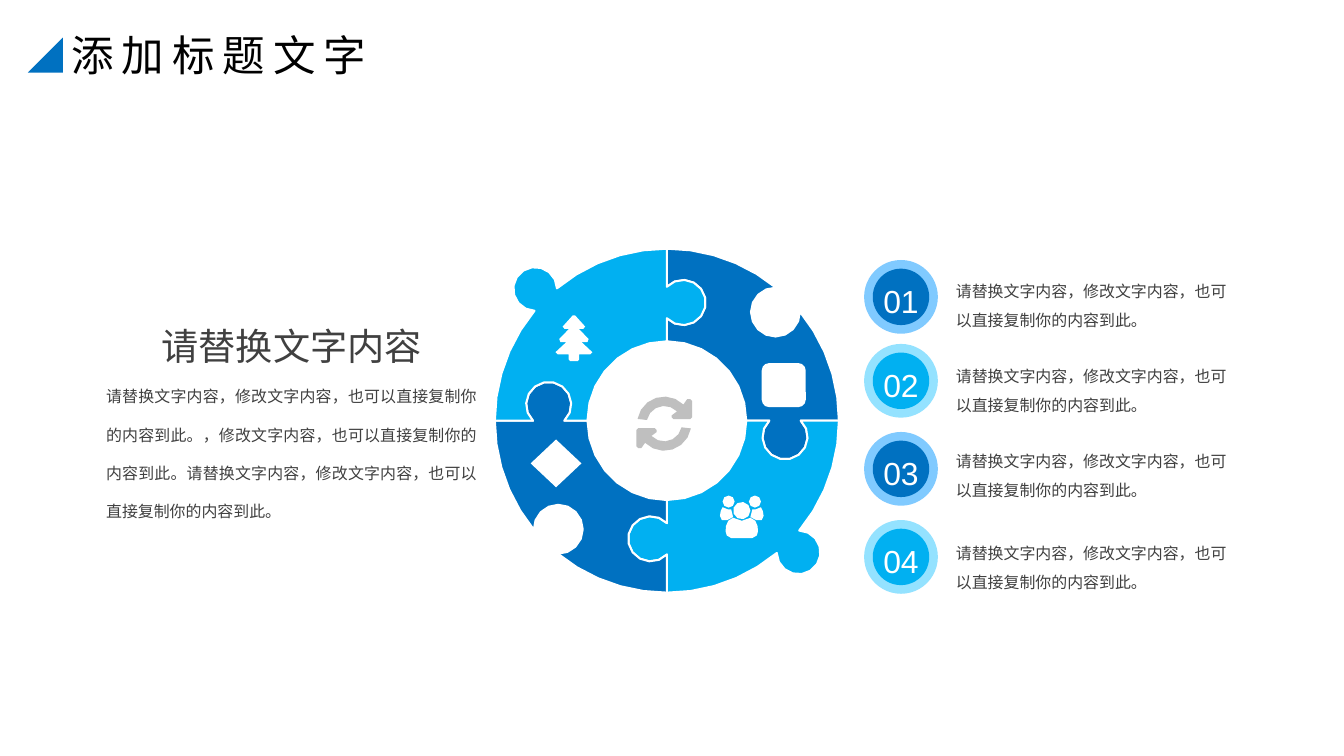
from math import acos, atan2, ceil, cos, degrees, radians, sin, sqrt

from pptx import Presentation
from pptx.dml.color import RGBColor
from pptx.enum.shapes import MSO_SHAPE
from pptx.enum.text import MSO_ANCHOR, MSO_AUTO_SIZE, PP_ALIGN
from pptx.util import Cm, Pt

NAVY, SKY = "0071C1", "01B0F1"
NAVY_HALO, SKY_HALO = "80CAFF", "94E2FF"
WHITE, BLACK, GREY, DARK = "FFFFFF", "000000", "BFBFBF", "404040"

OUTER, INNER = 4.57, 2.11
RING_CENTRE = (17.72, 11.18)

SENTENCE = "请替换文字内容，修改文字内容，也可以直接复制你的内容到此。"
BODY = SENTENCE + "，修改文字内容，也可以直接复制你的内容到此。" + SENTENCE

TREE_HALF = [(0.03, 0), (0.3, 0.3), (0.25, 0.36), (0.13, 0.36), (0.39, 0.63),
             (0.36, 0.71), (0.2, 0.71), (0.49, 0.98), (0.43, 1.04),
             (0.14, 1.04), (0.14, 1.17), (0.1, 1.22)]
PERSON_HALF = [(0, 0.66), (0.23, 0.58), (0.36, 0.66), (0.42, 0.8),
               (0.43, 0.94), (0.4, 1.05), (0.28, 1.12)]
SIDE_PERSON = [(0.38, 0.64), (0.53, 0.64), (0.58, 0.53), (0.56, 0.4),
               (0.51, 0.3), (0.36, 0.36), (0.28, 0.36), (0.23, 0.56)]
ARROW_HEAD = [(-0.61, 0.65), (-0.69, 0.65), (-0.74, 0.6), (-0.74, 0.17),
              (-0.69, 0.12), (-0.25, 0.12), (-0.2, 0.17), (-0.2, 0.22),
              (-0.36, 0.34)]


def color(value):
    """Turn a hex string into a colour."""
    return RGBColor.from_string(value)


def arc(radius, start, end, x=0, y=0):
    """List just enough points for a smooth arc, with clockwise angles in degrees."""
    steps = ceil(radians(abs(end - start)) / sqrt(0.12 / radius))
    angles = [radians(start + (end - start) * step / steps) for step in range(steps + 1)]
    return [(x + radius * cos(angle), y + radius * sin(angle)) for angle in angles]


def turn(points, angle):
    """Rotate points clockwise about the origin."""
    cosine, sine = cos(radians(angle)), sin(radians(angle))
    return [(x * cosine - y * sine, x * sine + y * cosine) for x, y in points]


def flip(points):
    """Mirror points left to right, in reverse order."""
    return [(-x, y) for x, y in reversed(points)]


def puzzle_piece(start, has_knob):
    """Outline the quarter ring that begins at the start angle."""
    seam = [(INNER, 0)] + arc(0.6, 226, -46, 3.14, 0.43) + [(OUTER, 0)]
    distance, radius = (4.95, 0.58) if has_knob else (4.08, 0.65)
    half = acos((OUTER**2 + distance**2 - radius**2) / (2 * OUTER * distance))
    reach = degrees(atan2(OUTER * sin(half), OUTER * cos(half) - distance))
    gap = degrees(half)
    joint = arc(radius, -reach, reach if has_knob else reach - 360, distance)
    rim = arc(OUTER, -45, -gap)[1:-1] + joint + arc(OUTER, gap, 45)[1:-1]
    hole = arc(INNER, 90, 0)[1:-1]
    return turn(seam + turn(rim, 45) + turn(seam, 90)[::-1] + hole, start)


class SlideBuilder:
    """Hold the text style and the slide, and add its elements."""

    font_name = "Arial"

    def __init__(self, slide):
        """Keep the slide to draw on."""
        self.slide = slide

    def style(self, paragraph, size, value, align, spacing=None):
        """Set the font and layout of a paragraph."""
        paragraph.alignment = align
        paragraph.line_spacing = spacing
        paragraph.font.name = self.font_name
        paragraph.font.size = Pt(size)
        paragraph.font.color.rgb = color(value)

    def paint(self, shape, fill, outline=None):
        """Give a shape its fill and outline."""
        shape.shadow.inherit = False
        shape.fill.solid()
        shape.fill.fore_color.rgb = color(fill)
        if outline:
            shape.line.color.rgb = color(outline)
            shape.line.width = Pt(1.5)
        else:
            shape.line.fill.background()

    def shape(self, kind, left, top, width, height, fill, group=None):
        """Add a filled preset shape."""
        shapes = group.shapes if group else self.slide.shapes
        shape = shapes.add_shape(kind, Cm(left), Cm(top), Cm(width), Cm(height))
        self.paint(shape, fill)
        return shape

    def outline(self, contours, centre, fill, line=None):
        """Add a freeform made of closed contours around a centre."""
        builder = None
        for contour in contours:
            points = [(Cm(centre[0] + x), Cm(centre[1] + y)) for x, y in contour]
            if builder is None:
                builder = self.slide.shapes.build_freeform(*points[0])
            else:
                builder.move_to(*points[0])
            builder.add_line_segments(points[1:], close=True)
        self.paint(builder.convert_to_shape(), fill, line)

    def text(self, left, top, width, height, paragraphs):
        """Add a wrapping text box without margins."""
        box = self.slide.shapes.add_textbox(Cm(left), Cm(top), Cm(width), Cm(height))
        frame = box.text_frame
        frame.word_wrap = True
        frame.auto_size = MSO_AUTO_SIZE.SHAPE_TO_FIT_TEXT
        frame.margin_left = frame.margin_right = frame.margin_top = frame.margin_bottom = 0
        for index, (words, *look) in enumerate(paragraphs):
            paragraph = frame.add_paragraph() if index else frame.paragraphs[0]
            paragraph.add_run().text = words
            self.style(paragraph, *look)

    def title(self, words):
        """Add the letter-spaced title and its corner triangle."""
        box = self.slide.shapes.add_textbox(Cm(1.65), Cm(0.64), Cm(8.64), Cm(1.63))
        box.text_frame.word_wrap = False
        box.text_frame.auto_size = MSO_AUTO_SIZE.SHAPE_TO_FIT_TEXT
        paragraph = box.text_frame.paragraphs[0]
        run = paragraph.add_run()
        run.text = words
        run._r.get_or_add_rPr().set("spc", "600")
        self.style(paragraph, 32, BLACK, PP_ALIGN.LEFT)
        self.shape(MSO_SHAPE.RIGHT_TRIANGLE, 0.74, 1, 0.93, 0.93, NAVY).rotation = 270

    def badge(self, top, number, fill, halo):
        """Add a numbered disc with a pale halo."""
        group = self.slide.shapes.add_group_shape()
        self.shape(MSO_SHAPE.OVAL, 22.96, top, 1.96, 1.96, halo, group)
        disc = self.shape(MSO_SHAPE.OVAL, 23.19, top + 0.23, 1.5, 1.5, fill, group)
        frame = disc.text_frame
        frame.margin_left = frame.margin_right = frame.margin_top = frame.margin_bottom = 0
        frame.vertical_anchor = MSO_ANCHOR.MIDDLE
        paragraph = frame.paragraphs[0]
        paragraph.add_run().text = f"{number:02d}"
        self.style(paragraph, 24, WHITE, PP_ALIGN.CENTER, 1.2)


def main():
    """Build and save the slide."""
    presentation = Presentation()
    presentation.slide_width, presentation.slide_height = Cm(35.71), Cm(20.09)
    builder = SlideBuilder(presentation.slides.add_slide(presentation.slide_layouts[6]))

    for quarter in range(4):
        has_knob = quarter % 2 == 1
        piece = puzzle_piece(90 * quarter - 90, has_knob)
        builder.outline([piece], RING_CENTRE, SKY if has_knob else NAVY, WHITE)

    builder.outline([TREE_HALF + flip(TREE_HALF)], (15.25, 8.38), WHITE)
    builder.shape(MSO_SHAPE.DIAMOND, 14.1, 11.68, 1.35, 1.27, WHITE)
    builder.shape(MSO_SHAPE.ROUNDED_RECTANGLE, 20.24, 9.65, 1.17, 1.17, WHITE)
    people = [SIDE_PERSON, flip(SIDE_PERSON), PERSON_HALF + flip(PERSON_HALF[1:]),
              arc(0.23, 0, 360, 0, 0.39)]
    people += [arc(0.16, 0, 360, x, 0.15) for x in (-0.35, 0.35)]
    builder.outline(people, (19.71, 13.18), WHITE)
    arrow = arc(0.72, 10, 135) + ARROW_HEAD + arc(0.47, 136, 12)
    builder.outline([arrow, turn(arrow, 180)], (17.65, 11.26), GREY)

    rows = [(6.91, 7.24), (9.14, 9.5), (11.48, 11.76), (13.82, 14.2)]
    for number, (badge_top, text_top) in enumerate(rows, 1):
        fill, halo = (NAVY, NAVY_HALO) if number % 2 else (SKY, SKY_HALO)
        builder.badge(badge_top, number, fill, halo)
        builder.text(25.4, text_top, 7.24, 1.45, [(SENTENCE, 12, DARK, PP_ALIGN.LEFT, 1.5)])

    builder.text(2.82, 8, 9.86, 5.89, [
        ("请替换文字内容", 28, DARK, PP_ALIGN.CENTER, 1.5),
        (BODY, 12, DARK, PP_ALIGN.JUSTIFY, 2.0),
    ])
    builder.title("添加标题文字")
    presentation.save("out.pptx")


if __name__ == "__main__":
    main()
